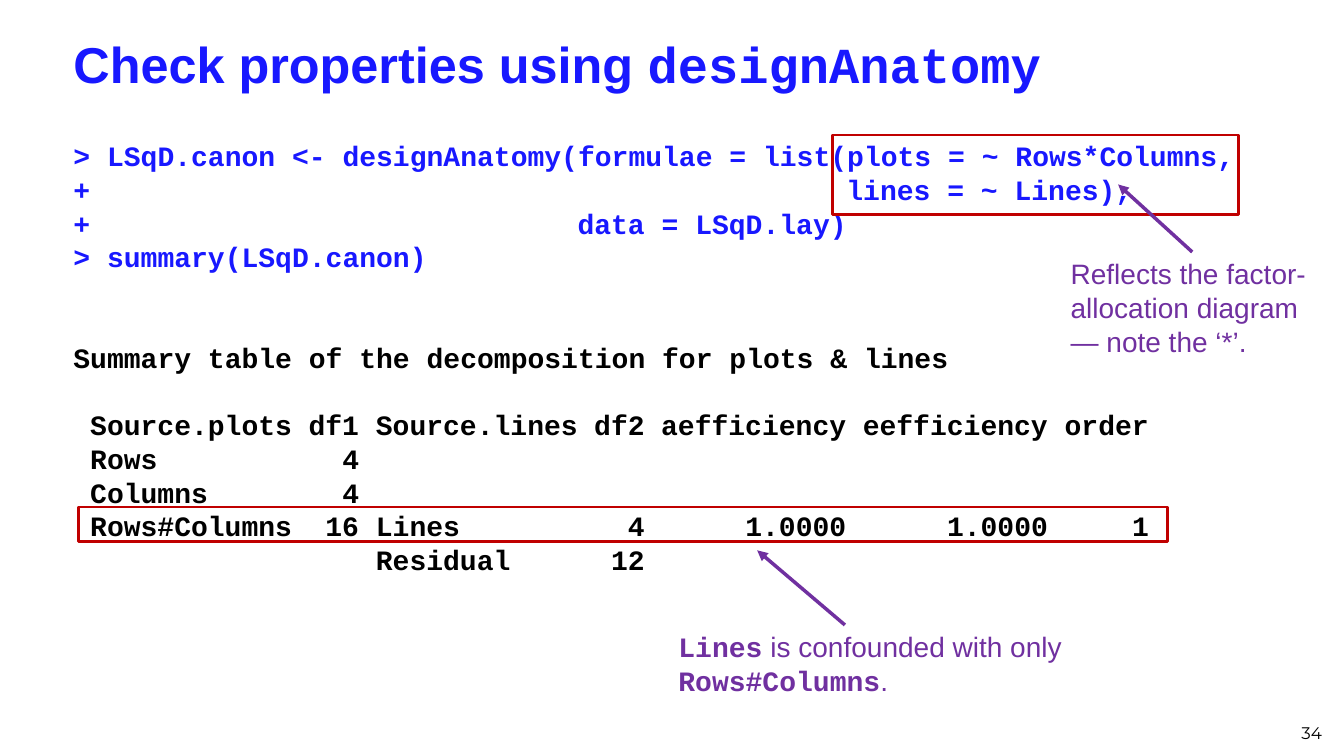
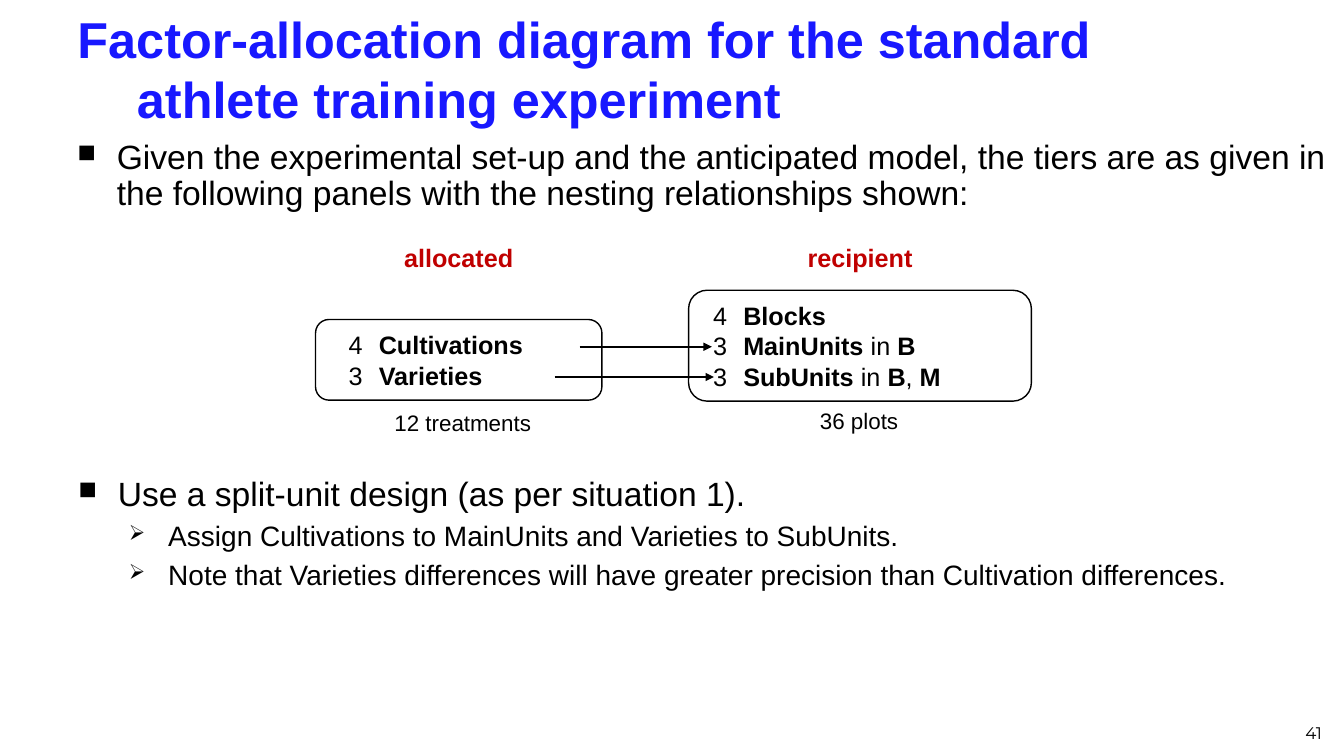
"""Build two slides on checking an experimental design and its factor allocation."""
from lxml.etree import SubElement
from pptx import Presentation
from pptx.dml.color import RGBColor
from pptx.enum.shapes import MSO_CONNECTOR, MSO_SHAPE
from pptx.enum.text import MSO_ANCHOR, PP_ALIGN
from pptx.oxml.ns import qn
from pptx.util import Inches, Pt

BLUE = RGBColor(0x18, 0x18, 0xFF)
BLACK = RGBColor(0, 0, 0)
RED = RGBColor(0xC0, 0, 0)
PURPLE = RGBColor(0x70, 0x30, 0xA0)

CODE = {"name": "Courier New", "bold": True}
BOLD = {"bold": True}
TITLE = {"name": "Arial", "size": Pt(36), "bold": True, "color": BLUE}
CONSOLE = {**CODE, "size": Pt(20), "color": BLACK}
CALLOUT = {"name": "Arial", "size": Pt(20), "color": PURPLE}
BULLET = {"name": "Arial", "size": Pt(24), "color": BLACK}
SUB_BULLET = {**BULLET, "size": Pt(20)}
PANEL = {"name": "Arial", "size": Pt(18), "color": BLACK}
HEADING = {**PANEL, "bold": True, "color": RED}
CAPTION = {**PANEL, "size": Pt(16)}
NUMBER = {"name": "Montserrat", "size": Pt(12), "color": BLACK}

CENTERED = {"alignment": PP_ALIGN.CENTER}
LIST_SPACING = {"line_spacing": 0.9, "space_before": Pt(6)}


def add_box(page, area, lines=(), font=None, layout=None, margin=None,
            anchor=MSO_ANCHOR.TOP, outline=None, kind=MSO_SHAPE.RECTANGLE):
    """Add a text box, or an outlined shape, whose lines are lists of (text, format) spans."""
    place = [Inches(value) for value in area]
    if outline:
        box = page.shapes.add_shape(kind, *place)
        box.shadow.inherit = False
        box.fill.background()
        box.line.color.rgb, box.line.width = outline
    else:
        box = page.shapes.add_textbox(*place)
    frame = box.text_frame
    frame.word_wrap = True
    frame.vertical_anchor = anchor
    for index, spans in enumerate(lines):
        para = frame.add_paragraph() if index else frame.paragraphs[0]
        for name, value in {"alignment": PP_ALIGN.LEFT, **(layout or {})}.items():
            setattr(para, name, value)
        if margin:
            left, hanging = margin
            properties = para._p.get_or_add_pPr()
            properties.set("marL", str(Inches(left)))
            properties.set("indent", str(-Inches(hanging)))
        for text, changes in spans:
            span = para.add_run()
            span.text = text
            for name, value in {**font, **changes}.items():
                if name == "color":
                    span.font.color.rgb = value
                else:
                    setattr(span.font, name, value)
    return box


def add_arrow(page, start, end, color, width):
    """Add a straight connector with a triangular head at its end."""
    arrow = page.shapes.add_connector(
        MSO_CONNECTOR.STRAIGHT, *[Inches(value) for value in (*start, *end)])
    arrow.line.color.rgb = color
    arrow.line.width = Pt(width)
    SubElement(arrow.line._get_or_add_ln(), qn("a:tailEnd"), type="triangle")
    SubElement(arrow._element.spPr, qn("a:effectLst"))
    return arrow


deck = Presentation()
deck.slide_width, deck.slide_height = Inches(13.33), Inches(7.5)

titles = [
    ((0.63, 0.23, 12.6, 0.79), None, "34",
     [("Check properties using ", {}), ("designAnatomy", CODE)]),
    ((0.67, 0.13, 12, 1.1), (0.59, 0.59), "41",
     [("Factor-allocation diagram for the standard athlete training experiment", {})]),
]
pages = []
for area, margin, number, spans in titles:
    page = deck.slides.add_slide(deck.slide_layouts[6])
    add_box(page, area, [spans], TITLE, margin=margin, anchor=MSO_ANCHOR.MIDDLE)
    add_box(page, (10.1, 6.92, 3.11, 0.5), [[(number, {})]], NUMBER,
            {"alignment": PP_ALIGN.RIGHT}, anchor=MSO_ANCHOR.BOTTOM)
    pages.append(page)
anatomy_page, allocation_page = pages

CHARACTER = 1 / 6
LINE = 24
SUMMARY_TABS = [(1, "l"), (17, "r"), (18, "l"), (34, "r"), (46, "r"), (58, "r"), (64, "r")]
commands = [
    ("> LSqD.canon <- designAnatomy(formulae = list(plots = ~ Rows*Columns,", []),
    ("+\tlines = ~ Lines),", [(46, "l")]),
    ("+\tdata = LSqD.lay)", [(30, "l")]),
    ("> summary(LSqD.canon)", []),
]
summary_rows = [
    ("Source.plots", "df1", "Source.lines", "df2", "aefficiency", "eefficiency", "order"),
    ("Rows", "4"),
    ("Columns", "4"),
    ("Rows#Columns", "16", "Lines", "4", "1.0000", "1.0000", "1"),
    ("", "", "Residual", "12"),
]
console = [(text, tabs, BLUE) for text, tabs in commands]
console.append(("Summary table of the decomposition for plots & lines", [], BLACK))
console += [("\t" + "\t".join(row), SUMMARY_TABS, BLACK) for row in summary_rows]
listing = add_box(anatomy_page, (0.63, 1.33, 12.6, 4.57),
                  [[(text, {"color": color})] for text, tabs, color in console],
                  CONSOLE, {"line_spacing": Pt(LINE)})
paras = listing.text_frame.paragraphs
for para, (text, tabs, color) in zip(paras, console):
    if tabs:
        stops = SubElement(para._p.get_or_add_pPr(), qn("a:tabLst"))
        for column, side in tabs:
            SubElement(stops, qn("a:tab"), pos=str(Inches(column * CHARACTER)), algn=side)
heading_index = len(commands)
paras[heading_index].space_before = Pt(2 * LINE)
paras[heading_index + 1].space_before = Pt(LINE)

for area in [(0.78, 5.03, 10.8, 0.34), (8.26, 1.34, 4.02, 0.79)]:
    add_box(anatomy_page, area, outline=(RED, Pt(2)))

add_box(anatomy_page, (6.63, 6.2, 4.25, 0.77),
        [[("Lines", CODE), (" is confounded with only ", {}),
          ("Rows#Columns", CODE), (".", {})]], CALLOUT)
formula_note = add_box(
    anatomy_page, (10.52, 2.5, 2.61, 1.11),
    [[("Reflects the factor-allocation diagram — note the ‘*’.", {})]], CALLOUT)
add_arrow(anatomy_page, (8.38, 6.2), (7.51, 5.46), PURPLE, 2.5)
formula_arrow = add_arrow(anatomy_page, (11.83, 2.5), (11.09, 1.83), PURPLE, 2.5)
formula_arrow.begin_connect(formula_note, 0)

bullet_lists = [
    ((0.67, 1.34, 12.65, 0.77), [
        (0, "Given the experimental set-up and the anticipated model, the tiers are as "
            "given in the following panels with the nesting relationships shown:")]),
    ((0.68, 4.69, 12.65, 2.95), [
        (0, "Use a split-unit design (as per situation 1)."),
        (1, "Assign Cultivations to MainUnits and Varieties to SubUnits."),
        (1, "Note that Varieties differences will have greater precision than "
            "Cultivation differences.")]),
]
for area, items in bullet_lists:
    box = add_box(allocation_page, area,
                  [[(text, SUB_BULLET if level else {})] for level, text in items],
                  BULLET, LIST_SPACING, (0.39, 0.39))
    for para, (level, text) in zip(box.text_frame.paragraphs, items):
        para.level = level
        properties = para._p.get_or_add_pPr()
        properties.set("marL", str(Inches(0.39 + 0.5 * level)))
        bullet_color = SubElement(properties, qn("a:buClr"))
        SubElement(bullet_color, qn("a:srgbClr"), val=str(BLACK))
        SubElement(properties, qn("a:buSzPct"), val="75000")
        SubElement(properties, qn("a:buChar"), char="■➢"[level])

panels = [
    ((3.13, 3.17, 2.84, 0.8), 0.49,
     [[("4\t", {}), ("Cultivations", BOLD)],
      [("3\t", {}), ("Varieties", BOLD)]],
     "allocated", (3.82, 2.36, 1.46, 0.4),
     "12 treatments", (3.08, 4.01, 3.02, 0.37)),
    ((6.83, 2.88, 3.4, 1.1), 0.39,
     [[("4\t", {}), ("Blocks", BOLD)],
      [("3\t", {}), ("MainUnits", BOLD), (" in ", {}), ("B", BOLD)],
      [("3\t", {}), ("SubUnits", BOLD), (" in ", {}), ("B", BOLD), (", ", {}), ("M", BOLD)]],
     "recipient", (7.89, 2.35, 1.28, 0.4),
     "36 plots", (7.23, 3.99, 2.58, 0.37)),
]
for area, left, factors, heading, heading_area, caption, caption_area in panels:
    add_box(allocation_page, area, factors, PANEL, margin=(left, 0.3),
            anchor=MSO_ANCHOR.MIDDLE, outline=(BLACK, Pt(1)),
            kind=MSO_SHAPE.ROUNDED_RECTANGLE)
    add_box(allocation_page, heading_area, [[(heading, {})]], HEADING, CENTERED)
    add_box(allocation_page, caption_area, [[(caption, {})]], CAPTION, CENTERED)

for left, right, height in [(5.75, 7.06, 3.44), (5.5, 7.08, 3.74)]:
    add_arrow(allocation_page, (left, height), (right, height), BLACK, 1.5)

deck.save("out.pptx")
